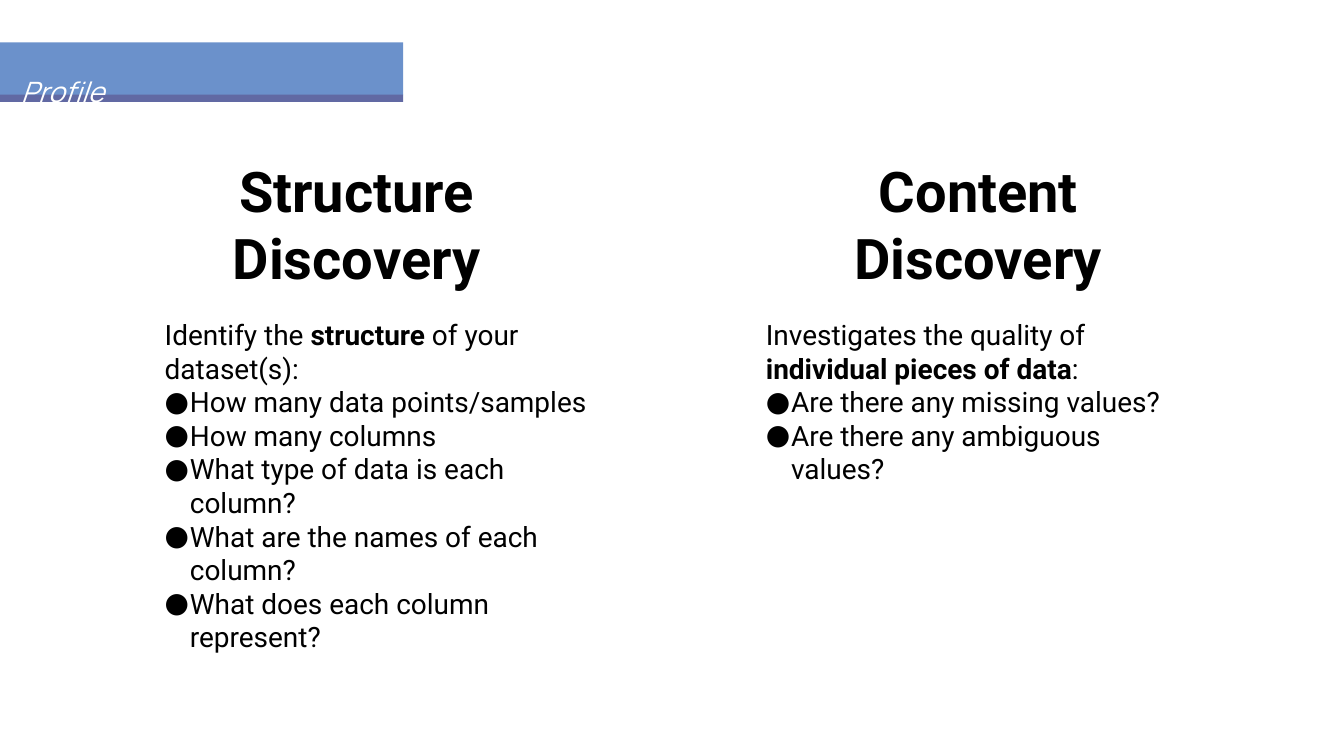
from lxml import etree
from pptx import Presentation
from pptx.dml.color import RGBColor
from pptx.enum.shapes import MSO_SHAPE
from pptx.enum.text import MSO_ANCHOR, MSO_AUTO_SIZE, PP_ALIGN
from pptx.oxml.ns import qn
from pptx.util import Emu, Pt

PX = 9144  # 100 px to the inch
RECT = MSO_SHAPE.RECTANGLE
TOP, MIDDLE = MSO_ANCHOR.TOP, MSO_ANCHOR.MIDDLE
LEFT, CENTER = PP_ALIGN.LEFT, PP_ALIGN.CENTER
FIXED = MSO_AUTO_SIZE.NONE
BLACK, WHITE = "000000", "FFFFFF"

TITLE = "Profile"
BANDS = [((0, 84, 800, 105), "6B91CB"), ((0, 188, 800, 14), "6169A3")]

# Each lead is a list of (text, bold) runs.
COLUMNS = [
    {
        "head": ["Structure Discovery"],
        "head_box": (408, 301, 600, 290),
        "lead": [("Identify the ", False), ("structure", True),
                 (" of your dataset(s):", False)],
        "points": ["How many data points/samples", "How many columns",
                   "What type of data is each column?",
                   "What are the names of each column?",
                   "What does each column represent?"],
        "body_box": (317, 620, 863, 694),
    },
    {
        "head": ["Content", "Discovery"],
        "head_box": (1647, 301, 589, 290),
        "lead": [("Investigates the quality of ", False),
                 ("individual pieces of data", True), (":", False)],
        "points": ["Are there any missing values?",
                   "Are there any ambiguous values?"],
        "body_box": (1510, 620, 863, 357),
    },
]


def px(n):
    return Emu(n * PX)


def rgb(code):
    return RGBColor.from_string(code)


def place(shape, box):
    shape.left, shape.top, shape.width, shape.height = map(px, box)


def set_frame(frame, inset, anchor):
    frame.word_wrap = True
    frame.auto_size = FIXED
    frame.vertical_anchor = anchor
    frame.margin_left = frame.margin_right = px(inset)
    frame.margin_top = frame.margin_bottom = px(inset)


def add_run(para, text, size, color=BLACK, face="Roboto", bold=False, italic=False):
    run = para.add_run()
    run.text = text
    font = run.font
    font.size, font.name = Pt(size), face
    font.bold, font.italic = bold, italic
    font.color.rgb = rgb(color)


def add_bullet(para):
    props = para._p.get_or_add_pPr()
    props.set("marL", str(px(50)))
    props.set("indent", str(px(-53)))
    tint = etree.SubElement(props, qn("a:buClr"))
    etree.SubElement(tint, qn("a:srgbClr"), val=BLACK)
    etree.SubElement(props, qn("a:buFont"), typeface="Roboto")
    etree.SubElement(props, qn("a:buChar"), char="●")


def add_text(slide, box, paras, size, align=LEFT):
    """Add a text box; paras holds (runs, bulleted) pairs."""
    frame = slide.shapes.add_textbox(*map(px, box)).text_frame
    set_frame(frame, 10, TOP)
    for i, (runs, bulleted) in enumerate(paras):
        para = frame.add_paragraph() if i else frame.paragraphs[0]
        para.alignment = align
        if bulleted:
            add_bullet(para)
        for text, bold in runs:
            add_run(para, text, size, bold=bold)


def add_title(slide):
    title = slide.shapes.title
    place(title, (36, 115, 666, 84))
    set_frame(title.text_frame, 6, MIDDLE)
    para = title.text_frame.paragraphs[0]
    para.alignment, para.line_spacing = LEFT, 1.73
    add_run(para, TITLE, 40, WHITE, "Manrope", italic=True)
    slide.shapes._spTree.append(title._element)  # in front of the bands


def main():
    deck = Presentation()
    deck.slide_width, deck.slide_height = px(2667), px(1500)
    slide = deck.slides.add_slide(deck.slide_layouts[5])

    group = slide.shapes.add_group_shape()
    for box, color in BANDS:
        band = group.shapes.add_shape(RECT, *map(px, box))
        band.shadow.inherit = False
        band.fill.solid()
        band.fill.fore_color.rgb = rgb(color)
        band.line.fill.background()
    add_title(slide)

    for col in COLUMNS:
        head = [([(line, True)], False) for line in col["head"]]
        add_text(slide, col["head_box"], head, 80, CENTER)
        points = [([(point, False)], True) for point in col["points"]]
        add_text(slide, col["body_box"], [(col["lead"], False)] + points, 40)

    deck.save("out.pptx")


if __name__ == "__main__":
    main()
